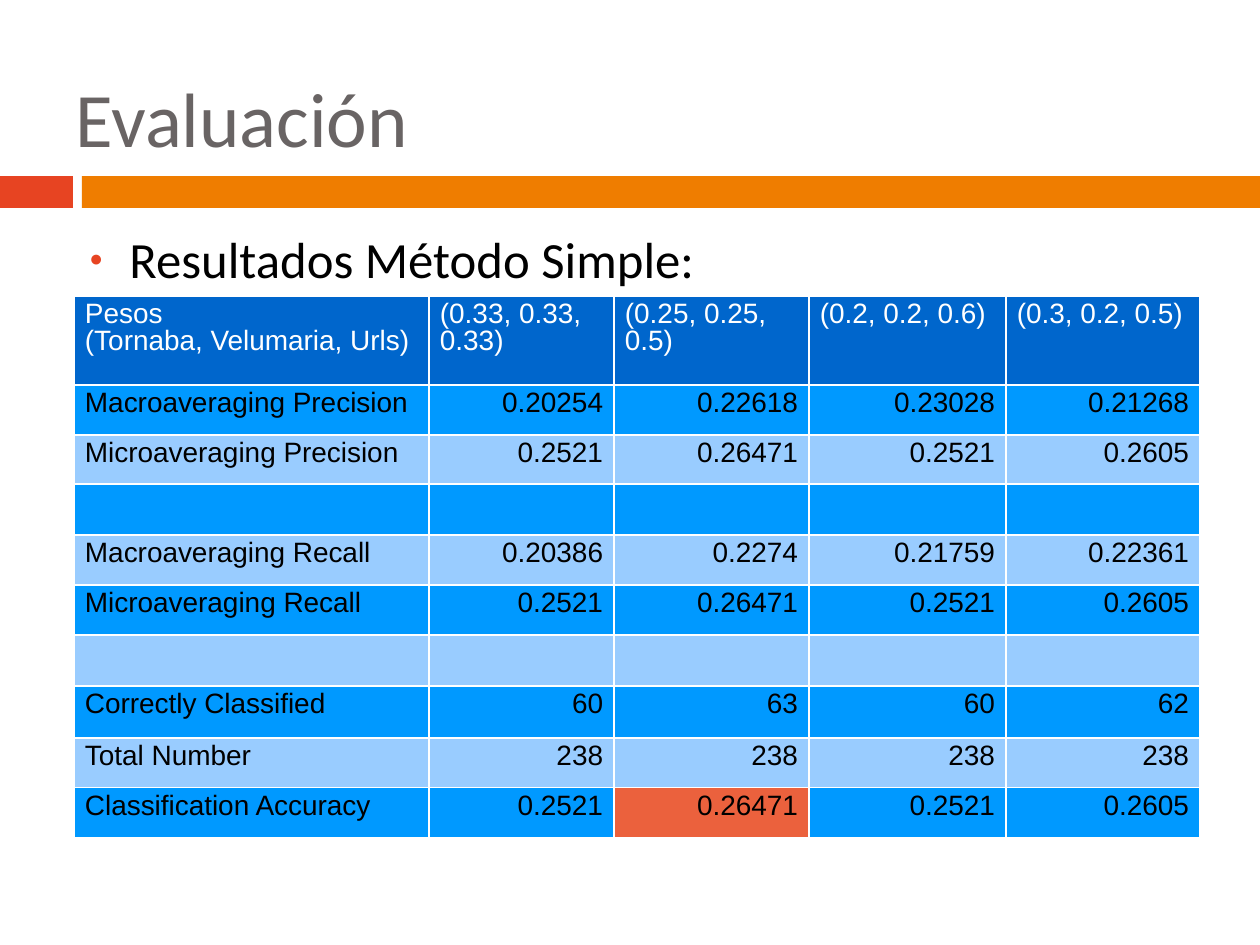
from pptx import Presentation
from pptx.dml.color import RGBColor as RGB
from pptx.enum.shapes import MSO_SHAPE as Shape
from pptx.enum.text import MSO_ANCHOR as Anchor, MSO_AUTO_SIZE as Auto, PP_ALIGN as Align
from pptx.oxml.ns import qn
from pptx.util import Emu, Pt
from lxml.etree import SubElement as Sub

SCALE = 914400 // 126
RED, ORANGE, GREY, BLACK, WHITE = "E74422", "EF7D00", "696464", "000000", "FFFFFF"
HEAD, DARK, LIGHT, MARK = "0066CC", "0099FF", "99CCFF", "EB613D"
COLS = [355, 185, 195, 197, 194]
TALL = [89, 50, 49, 51, 50, 50, 51, 52, 50, 50]
ROWS = [
    ["Pesos\n(Tornaba, Velumaria, Urls)", "(0.33, 0.33, 0.33)", "(0.25, 0.25, 0.5)",
     "(0.2, 0.2, 0.6)", "(0.3, 0.2, 0.5)"],
    ["Macroaveraging Precision", "0.20254", "0.22618", "0.23028", "0.21268"],
    ["Microaveraging Precision", "0.2521", "0.26471", "0.2521", "0.2605"],
    [""] * 5,
    ["Macroaveraging Recall", "0.20386", "0.2274", "0.21759", "0.22361"],
    ["Microaveraging Recall", "0.2521", "0.26471", "0.2521", "0.2605"],
    [""] * 5,
    ["Correctly Classified", "60", "63", "60", "62"],
    ["Total Number", "238", "238", "238", "238"],
    ["Classification Accuracy", "0.2521", "0.26471", "0.2521", "0.2605"],
]
BEST = (9, 2)


def px(num):
    return Emu(num * SCALE)


def paint(fill, tone):
    fill.solid()
    fill.fore_color.rgb = RGB.from_string(tone)


class Deck:
    """Holds the text style and the current slide."""

    def __init__(self, wide, high):
        self.file = Presentation()
        self.file.slide_width, self.file.slide_height = px(wide), px(high)
        self.slide = self.file.slides.add_slide(self.file.slide_layouts[5])
        self.shapes = self.slide.shapes
        self.face, self.body = "Calibri", "Arial"

    def style(self, para, size, tone, face, align=Align.LEFT):
        para.alignment = align
        para.font.size, para.font.name = Pt(size), face
        para.font.color.rgb = RGB.from_string(tone)

    def title(self, text, x, y, w, h):
        item = self.shapes.title
        item.left, item.top, item.width, item.height = map(px, (x, y, w, h))
        frame = item.text_frame
        frame.text = text
        frame.auto_size, frame.vertical_anchor = Auto.NONE, Anchor.MIDDLE
        self.style(frame.paragraphs[0], 44, GREY, self.face)

    def bar(self, x, y, w, h, tone):
        item = self.shapes.add_shape(Shape.RECTANGLE, *map(px, (x, y, w, h)))
        item.shadow.inherit = False
        paint(item.fill, tone)
        item.line.fill.background()

    def bullet(self, text, x, y, w, h):
        frame = self.shapes.add_textbox(*map(px, (x, y, w, h))).text_frame
        frame.word_wrap = True
        frame.text = text
        para = frame.paragraphs[0]
        para.space_before = Pt(7)
        props = para._p.get_or_add_pPr()
        props.set("marL", str(px(54)))
        props.set("indent", str(px(-40)))
        Sub(Sub(props, qn("a:buClr")), qn("a:srgbClr"), val=RED)
        Sub(props, qn("a:buSzPct"), val="45000")
        Sub(props, qn("a:buFont"), typeface="Arial")
        Sub(props, qn("a:buChar"), char="●")
        self.style(para, 29, BLACK, self.face)

    def table(self, x, y, rows, cols, tall):
        size = px(sum(cols)), px(sum(tall))
        grid = self.shapes.add_table(len(rows), len(cols), px(x), px(y), *size).table
        for col, wide in zip(grid.columns, cols):
            col.width = px(wide)
        for r, (row, high) in enumerate(zip(rows, tall)):
            grid.rows[r].height = px(high)
            band = (DARK if r % 2 else LIGHT) if r else HEAD
            for c, text in enumerate(row):
                align = Align.RIGHT if r and c else Align.LEFT
                tone = MARK if (r, c) == BEST else band
                self.cell(grid.cell(r, c), text, tone, BLACK if r else WHITE, align)

    def cell(self, cell, text, tone, ink, align):
        paint(cell.fill, tone)
        cell.margin_left = cell.margin_right = px(11)
        cell.margin_top = cell.margin_bottom = px(6)
        cell.text = text
        for para in cell.text_frame.paragraphs:
            para.line_spacing = 0.87
            self.style(para, 16, ink, self.body, align)

    def save(self):
        self.file.save("out.pptx")


def main():
    deck = Deck(1260, 945)
    deck.bar(0, 176, 73, 32, RED)
    deck.bar(82, 176, 1178, 32, ORANGE)
    deck.title("Evaluación", 63, 38, 1134, 157)
    deck.bullet("Resultados Método Simple:", 63, 222, 1134, 624)
    deck.table(74, 296, ROWS, COLS, TALL)
    deck.save()


if __name__ == "__main__":
    main()
